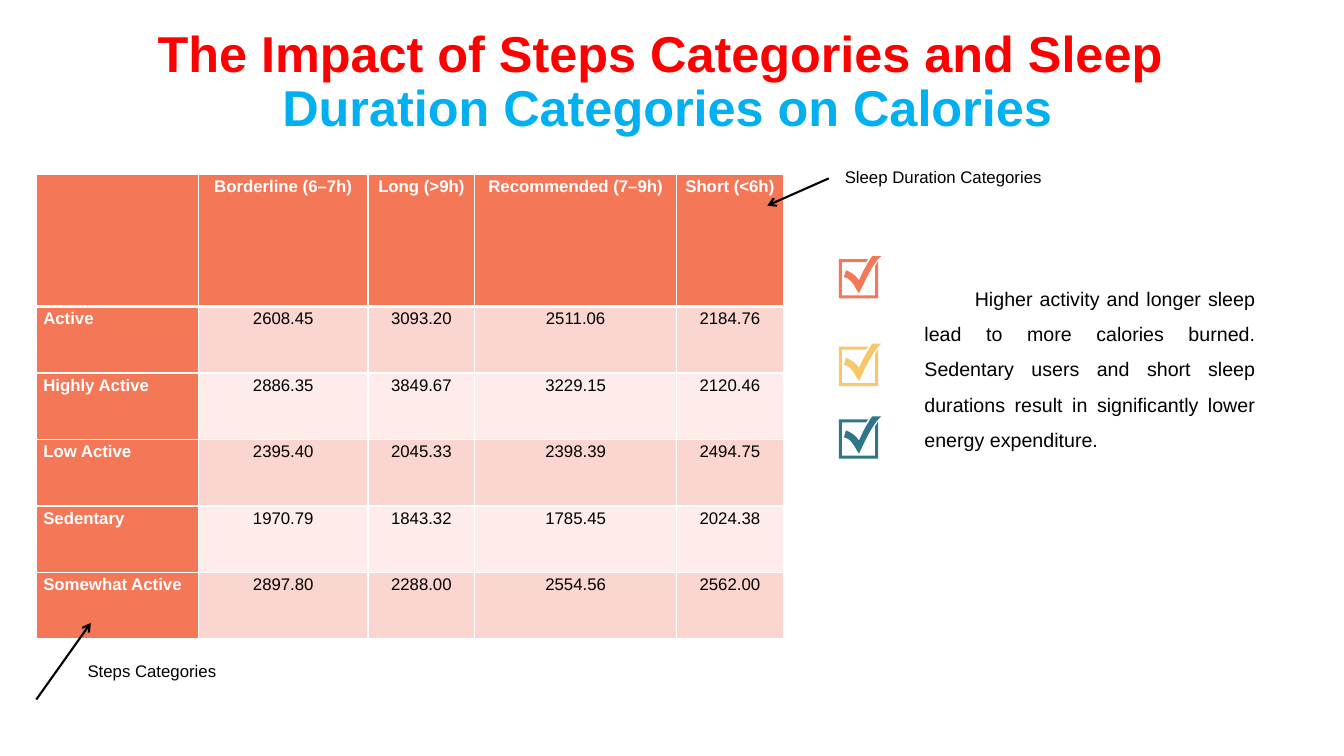
from lxml import etree
from pptx import Presentation, util as u
from pptx.dml.color import RGBColor
from pptx.enum import shapes, text
from pptx.oxml.ns import qn

PX = 9144  # 100 px to the inch
RED = RGBColor(0xFF, 0x00, 0x00)
BLUE = RGBColor(0x00, 0xB0, 0xF0)
BLACK = RGBColor(0x00, 0x00, 0x00)
WHITE = RGBColor(0xFF, 0xFF, 0xFF)
CORAL = RGBColor(0xF4, 0x77, 0x58)
YELLOW = RGBColor(0xF7, 0xC7, 0x6A)
TEAL = RGBColor(0x30, 0x76, 0x89)
BAND_DARK = RGBColor(0xFB, 0xD6, 0xD1)
BAND_LIGHT = RGBColor(0xFD, 0xEC, 0xEA)

CALORIES = [
    ("", "Borderline (6–7h)", "Long (>9h)", "Recommended (7–9h)", "Short (<6h)"),
    ("Active", "2608.45", "3093.20", "2511.06", "2184.76"),
    ("Highly Active", "2886.35", "3849.67", "3229.15", "2120.46"),
    ("Low Active", "2395.40", "2045.33", "2398.39", "2494.75"),
    ("Sedentary", "1970.79", "1843.32", "1785.45", "2024.38"),
    ("Somewhat Active", "2897.80", "2288.00", "2554.56", "2562.00"),
]
COLUMN_WIDTHS = [161, 168, 106, 200, 106]
ROW_HEIGHTS = [131] + [66] * 5
FINDING = ("\tHigher activity and longer sleep lead to more calories burned. "
           "Sedentary users and short sleep durations result in "
           "significantly lower energy expenditure.")


def px(*lengths):
    return [u.Emu(length * PX) for length in lengths]


def style(paragraph, size, color, bold=False, align=text.PP_ALIGN.LEFT, spacing=1.0):
    paragraph.alignment = align
    paragraph.line_spacing = spacing
    font = paragraph.font
    font.name, font.size, font.bold = "Arial", u.Pt(size), bold
    font.color.rgb = color


def add_text(slide, box, words, size, **look):
    frame = slide.shapes.add_textbox(*px(*box)).text_frame
    frame.word_wrap = True
    frame.text = words
    style(frame.paragraphs[0], size, BLACK, **look)


def add_title(slide, box):
    frame = slide.shapes.add_textbox(*px(*box)).text_frame
    frame.word_wrap = True
    frame.vertical_anchor = text.MSO_ANCHOR.MIDDLE
    frame.text = ("The Impact of Steps Categories and Sleep \n"
                  "Duration Categories on Calories")
    for line, color in zip(frame.paragraphs, (RED, BLUE)):
        style(line, 36, color, True, text.PP_ALIGN.CENTER, 0.9)


def add_borders(cell, bottom):
    tc_pr = cell._tc.get_or_add_tcPr()
    for side, points in (("L", 1), ("R", 1), ("T", 1), ("B", bottom)):
        line = etree.SubElement(tc_pr, qn(f"a:ln{side}"), w=str(u.Pt(points)))
        fill = etree.SubElement(line, qn("a:solidFill"))
        etree.SubElement(fill, qn("a:srgbClr"), val=str(WHITE))


def add_calories_table(slide, left, top):
    size = sum(COLUMN_WIDTHS), sum(ROW_HEIGHTS)
    table = slide.shapes.add_table(
        len(ROW_HEIGHTS), len(COLUMN_WIDTHS), *px(left, top, *size)).table
    table.horz_banding = False
    for column, width in zip(table.columns, px(*COLUMN_WIDTHS)):
        column.width = width
    for row, height in zip(table.rows, px(*ROW_HEIGHTS)):
        row.height = height
    for r, entries in enumerate(CALORIES):
        for c, entry in enumerate(entries):
            cell = table.cell(r, c)
            heading = r == 0 or c == 0
            add_borders(cell, 3 if r == 0 else 1)
            cell.fill.solid()
            band = BAND_DARK if r % 2 else BAND_LIGHT
            cell.fill.fore_color.rgb = CORAL if heading else band
            cell.margin_left, cell.margin_right = px(7, 7)
            cell.margin_top = cell.margin_bottom = 0
            cell.text = entry
            style(cell.text_frame.paragraphs[0], 12, WHITE if heading else BLACK,
                  heading, text.PP_ALIGN.CENTER if c else text.PP_ALIGN.LEFT, 1.15)


def curve(start, pull_1, pull_2, end, steps=10):
    """Points of a cubic curve, without its start."""
    points = []
    for step in range(1, steps + 1):
        t = step / steps
        weights = (1 - t) ** 3, 3 * t * (1 - t) ** 2, 3 * t * t * (1 - t), t ** 3
        points.append(tuple(
            sum(w * p[axis] for w, p in zip(weights, (start, pull_1, pull_2, end)))
            for axis in (0, 1)))
    return points


def add_checkbox(slide, left, top, color):
    frame = [(0, 3), (29, 3), (27, 6), (3, 6), (3, 39), (36, 39),
             (36, 10), (39, 5), (39, 42), (0, 42)]
    tick = [(42, 0),
            *curve((42, 0), (34, 7), (26, 24), (20, 37)),
            *curve((20, 37), (16, 32), (13, 22), (5, 21)),
            (7, 14),
            *curve((7, 14), (14, 17), (16, 19), (20, 24)),
            *curve((20, 24), (24, 15), (26, 11), (33, 0))]
    frame, tick = ([((left + x) * PX, (top + y) * PX) for x, y in outline]
                   for outline in (frame, tick))
    builder = slide.shapes.build_freeform(*frame[0], scale=1.0)
    builder.add_line_segments(frame[1:])
    builder.move_to(*tick[0])
    builder.add_line_segments(tick[1:])
    checkbox = builder.convert_to_shape()
    checkbox.shadow.inherit = False
    checkbox.fill.solid()
    checkbox.fill.fore_color.rgb = color
    checkbox.line.fill.background()


def add_arrow(slide, *ends):
    arrow = slide.shapes.add_connector(shapes.MSO_CONNECTOR.STRAIGHT, *px(*ends))
    arrow.line.color.rgb = BLACK
    arrow.line.width = u.Pt(1.5)
    etree.SubElement(arrow.line._get_or_add_ln(), qn("a:tailEnd"), type="arrow")
    etree.SubElement(arrow._element.spPr, qn("a:effectLst"))


def add_axis_labels(slide, left, top):
    """Names both table axes; left and top are the table's corner."""
    add_arrow(slide, left, top + 521, left + 54, top + 445)
    add_text(slide, (left + 41, top + 478, 157, 30), "Steps Categories", 12)
    add_arrow(slide, left + 786, top + 4, left + 725, top + 31)
    add_text(slide, (left + 792, top - 12, 225, 30), "Sleep Duration Categories", 12)


def add_findings(slide, left, top):
    for offset, color in ((0, CORAL), (87, YELLOW), (159, TEAL)):
        add_checkbox(slide, left, top + offset, color)
    add_text(slide, (left + 75, top + 14, 348, 187), FINDING, 14,
             align=text.PP_ALIGN.JUSTIFY, spacing=1.5)


def main():
    deck = Presentation()
    deck.slide_width, deck.slide_height = px(1333, 750)
    slide = deck.slides.add_slide(deck.slide_layouts[6])
    add_title(slide, (36, 4, 1252, 157))
    add_calories_table(slide, 36, 173)
    add_axis_labels(slide, 36, 173)
    add_findings(slide, 832, 254)
    deck.save("out.pptx")


if __name__ == "__main__":
    main()
